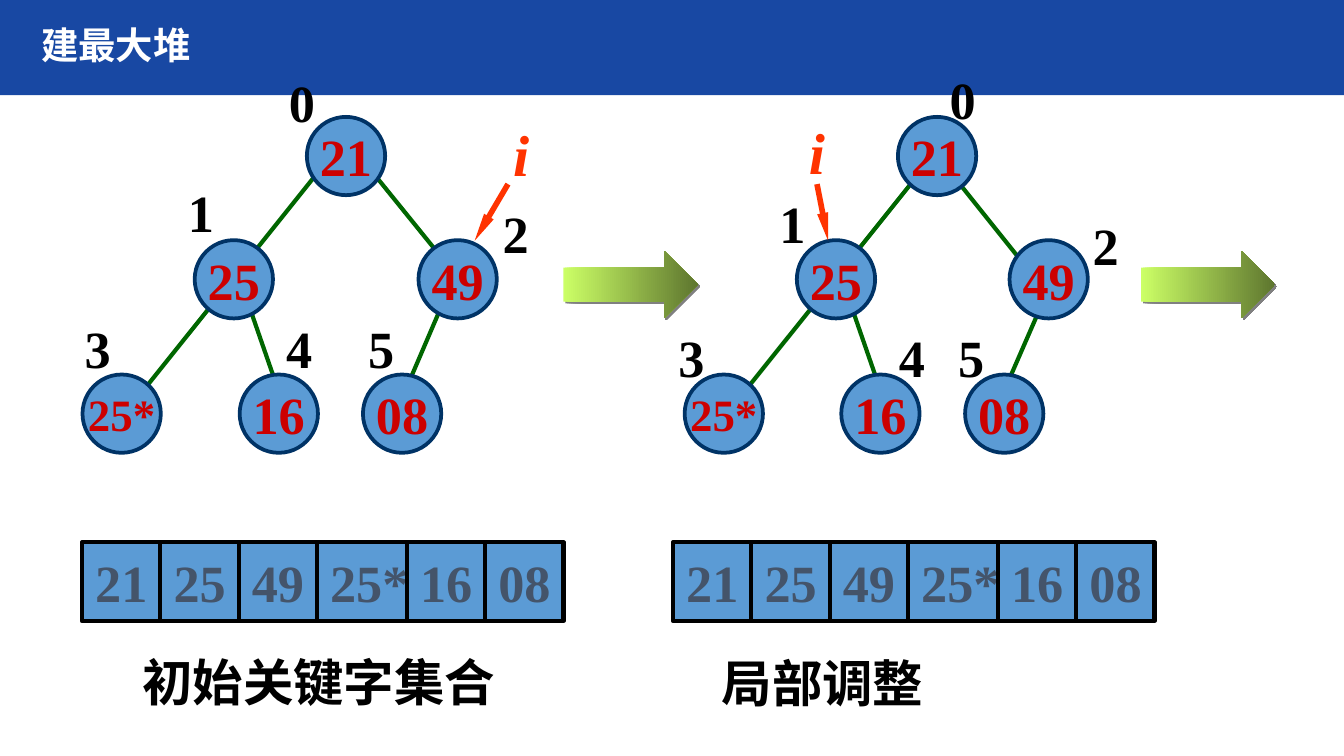
from dataclasses import dataclass
from itertools import accumulate

from lxml import etree
from pptx import Presentation
from pptx.dml.color import RGBColor
from pptx.enum.shapes import MSO_CONNECTOR, MSO_SHAPE
from pptx.enum.text import MSO_ANCHOR, PP_ALIGN
from pptx.oxml.ns import qn
from pptx.util import Cm, Pt

STRAIGHT = MSO_CONNECTOR.STRAIGHT
RECTANGLE, OVAL, RIGHT_ARROW = MSO_SHAPE.RECTANGLE, MSO_SHAPE.OVAL, MSO_SHAPE.RIGHT_ARROW
MIDDLE, TOP = MSO_ANCHOR.MIDDLE, MSO_ANCHOR.TOP
LEFT, CENTER = PP_ALIGN.LEFT, PP_ALIGN.CENTER

Point = tuple[float, float]
Box = tuple[float, float, float, float]


@dataclass(frozen=True)
class Theme:
    title_font: str = "Arial"
    body_font: str = "Times New Roman"
    banner: str = "1848A3"
    white: str = "FFFFFF"
    black: str = "000000"
    fill: str = "5B9BD5"
    node_line: str = "003366"
    node_text: str = "CC0000"
    array_text: str = "44546A"
    edge: str = "006600"
    pointer: str = "FF3300"
    step_start: str = "CCFF66"
    step_end: str = "5E762F"
    step_shadow: str = "808080"
    title_size: float = 20
    key_size: float = 28
    long_key_size: float = 24
    pointer_size: float = 31
    caption_size: float = 27


@dataclass(frozen=True)
class Stage:
    node_lefts: tuple[float, ...]
    index_spots: tuple[Point, ...]
    edge_xs: tuple[Point, ...]
    pointer_label: Point
    pointer_from: Point
    pointer_to: Point
    step_left: float
    array_left: float
    caption: str
    caption_box: Box


THEME = Theme()
KEYS = ("21", "25", "49", "25*", "16", "08")
NODE_TOPS = (2.21, 4.54, 4.54, 7.08, 7.08, 7.08)
NODE_SIZE = 1.48
EDGE_YS = ((3.28, 7.49), (3.28, 5.38), (5.82, 7.09), (5.82, 7.29))
ARRAY_TOP, ARRAY_HEIGHT = 10.25, 1.49
CELL_WIDTHS = (1.48, 1.48, 1.48, 1.7, 1.48, 1.48)

STAGES = (
    Stage(
        node_lefts=(5.8, 3.68, 7.91, 1.56, 4.53, 6.86),
        index_spots=((5.21, 1.19), (3.3, 3.28), (9.25, 3.68),
                     (1.35, 5.84), (5.16, 5.84), (6.71, 5.84)),
        edge_xs=((5.99, 2.62), (7.06, 8.76), (4.72, 5.16), (8.33, 7.7)),
        pointer_label=(9.45, 2.11), pointer_from=(9.6, 3.48), pointer_to=(8.97, 4.55),
        step_left=10.65, array_left=1.55,
        caption="初始关键字集合", caption_box=(2.44, 12.17, 7.4, 1.4),
    ),
    Stage(
        node_lefts=(16.97, 15.06, 19.08, 12.94, 15.9, 18.24),
        index_spots=((17.7, 1.14), (14.48, 3.48), (20.4, 3.91),
                     (12.57, 6.02), (16.74, 6.02), (17.86, 6.02)),
        edge_xs=((17.37, 14), (17.98, 19.66), (16.1, 16.54), (19.66, 19.02)),
        pointer_label=(15.04, 2.08), pointer_from=(15.44, 3.48), pointer_to=(15.65, 4.55),
        step_left=21.56, array_left=12.72,
        caption="局部调整", caption_box=(13.39, 12.19, 4.5, 1.4),
    ),
)


def rgb(color: str) -> RGBColor:
    return RGBColor.from_string(color)


def write(shape, text: str, size: float, color: str, font_name: str = THEME.body_font,
          italic: bool = False, align=LEFT, anchor=TOP, inset: Point = (0.25, 0.13)):
    frame = shape.text_frame
    frame.text = text
    frame.word_wrap = False
    frame.vertical_anchor = anchor
    frame.margin_left = frame.margin_right = Cm(inset[0])
    frame.margin_top = frame.margin_bottom = Cm(inset[1])
    paragraph = frame.paragraphs[0]
    paragraph.alignment = align
    font = paragraph.font
    font.name, font.size, font.bold, font.italic = font_name, Pt(size), True, italic
    font.color.rgb = rgb(color)
    return frame


def add_label(slide, box: Box, text: str, size: float, color: str = THEME.black, **style):
    label = slide.shapes.add_textbox(*map(Cm, box))
    return write(label, text, size, color, **style)


def add_solid(slide, kind, box: Box, fill: str, line: str | None = None, width: float = 0):
    solid = slide.shapes.add_shape(kind, *map(Cm, box))
    solid.shadow.inherit = False
    solid.fill.solid()
    solid.fill.fore_color.rgb = rgb(fill)
    if line:
        solid.line.color.rgb = rgb(line)
        solid.line.width = Pt(width)
    else:
        solid.line.fill.background()
    return solid


def add_line(slide, start: Point, end: Point, color: str, width: float = 2.25):
    line = slide.shapes.add_connector(STRAIGHT, *map(Cm, (*start, *end)))
    line.line.color.rgb = rgb(color)
    line.line.width = Pt(width)
    etree.SubElement(line._element.spPr, qn("a:effectLst"))
    return line


def add_pointer(slide, stage: Stage) -> None:
    arrow = add_line(slide, stage.pointer_from, stage.pointer_to, THEME.pointer, 3)
    etree.SubElement(arrow.line._get_or_add_ln(), qn("a:tailEnd"),
                     type="triangle", w="sm", len="lg")
    add_label(slide, (*stage.pointer_label, 0.81, 1.57), "i",
              THEME.pointer_size, THEME.pointer, italic=True)


def add_tree(slide, stage: Stage) -> None:
    for (x1, x2), (y1, y2) in zip(stage.edge_xs, EDGE_YS):
        add_line(slide, (x1, y1), (x2, y2), THEME.edge)
    for key, left, top in zip(KEYS, stage.node_lefts, NODE_TOPS):
        node = add_solid(slide, OVAL, (left, top, NODE_SIZE, NODE_SIZE),
                         THEME.fill, THEME.node_line, 2)
        size = THEME.key_size if len(key) == 2 else THEME.long_key_size
        write(node, key, size, THEME.node_text, align=CENTER, anchor=MIDDLE)
    for index, spot in enumerate(stage.index_spots):
        add_label(slide, (*spot, 0.99, 1.45), str(index), THEME.key_size)


def add_array(slide, left: float) -> None:
    *dividers, width = accumulate(CELL_WIDTHS)
    row = add_solid(slide, RECTANGLE, (left, ARRAY_TOP, width, ARRAY_HEIGHT),
                    THEME.fill, THEME.black, 2.25)
    frame = write(row, "\t".join(KEYS), THEME.key_size, THEME.array_text, anchor=MIDDLE)
    frame.word_wrap = True
    frame.margin_right = 0
    tabs = etree.Element(qn("a:tabLst"))
    for offset in dividers:
        etree.SubElement(tabs, qn("a:tab"), pos=str(Cm(offset)), algn="l")
        add_line(slide, (left + offset, ARRAY_TOP),
                 (left + offset, ARRAY_TOP + ARRAY_HEIGHT), THEME.black)
    frame.paragraphs[0]._p.get_or_add_pPr().insert(0, tabs)


def add_step(slide, left: float) -> None:
    step = add_solid(slide, RIGHT_ARROW, (left, 4.74, 2.54, 1.28), THEME.step_start)
    step.fill.gradient()
    step.fill.gradient_angle = 0
    for stop, color in zip(step.fill.gradient_stops, (THEME.step_start, THEME.step_end)):
        stop.color.rgb = rgb(color)
    effects = step._element.spPr.find(qn("a:effectLst"))
    shadow = etree.SubElement(effects, qn("a:outerShdw"), dist=str(Pt(1.4)),
                              dir="2700000", algn="ctr", rotWithShape="0")
    etree.SubElement(shadow, qn("a:srgbClr"), val=THEME.step_shadow)


def main() -> None:
    deck = Presentation()
    deck.slide_width, deck.slide_height = Cm(25.4), Cm(14.29)
    slide = deck.slides.add_slide(deck.slide_layouts[6])
    add_solid(slide, RECTANGLE, (0, 0, 25.4, 1.8), THEME.banner)
    title = add_label(slide, (0.58, 0.2, 21.92, 1.4), "建最大堆", THEME.title_size, THEME.white,
                      font_name=THEME.title_font, anchor=MIDDLE, inset=(0.2, 0.1))
    title.word_wrap = True
    title.paragraphs[0].line_spacing = 0.9
    for stage in STAGES:
        add_tree(slide, stage)
        add_pointer(slide, stage)
        add_step(slide, stage.step_left)
        add_array(slide, stage.array_left)
        add_label(slide, stage.caption_box, stage.caption, THEME.caption_size)
    deck.save("out.pptx")


if __name__ == "__main__":
    main()
